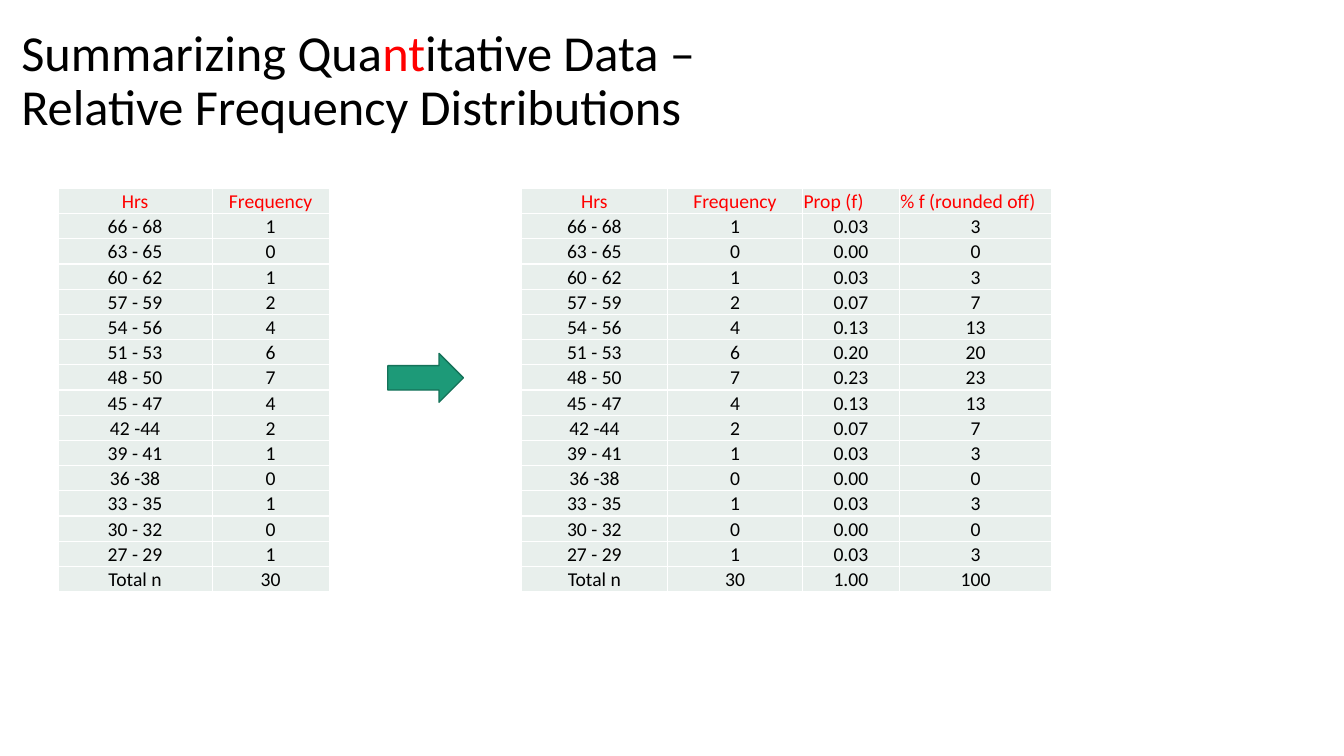
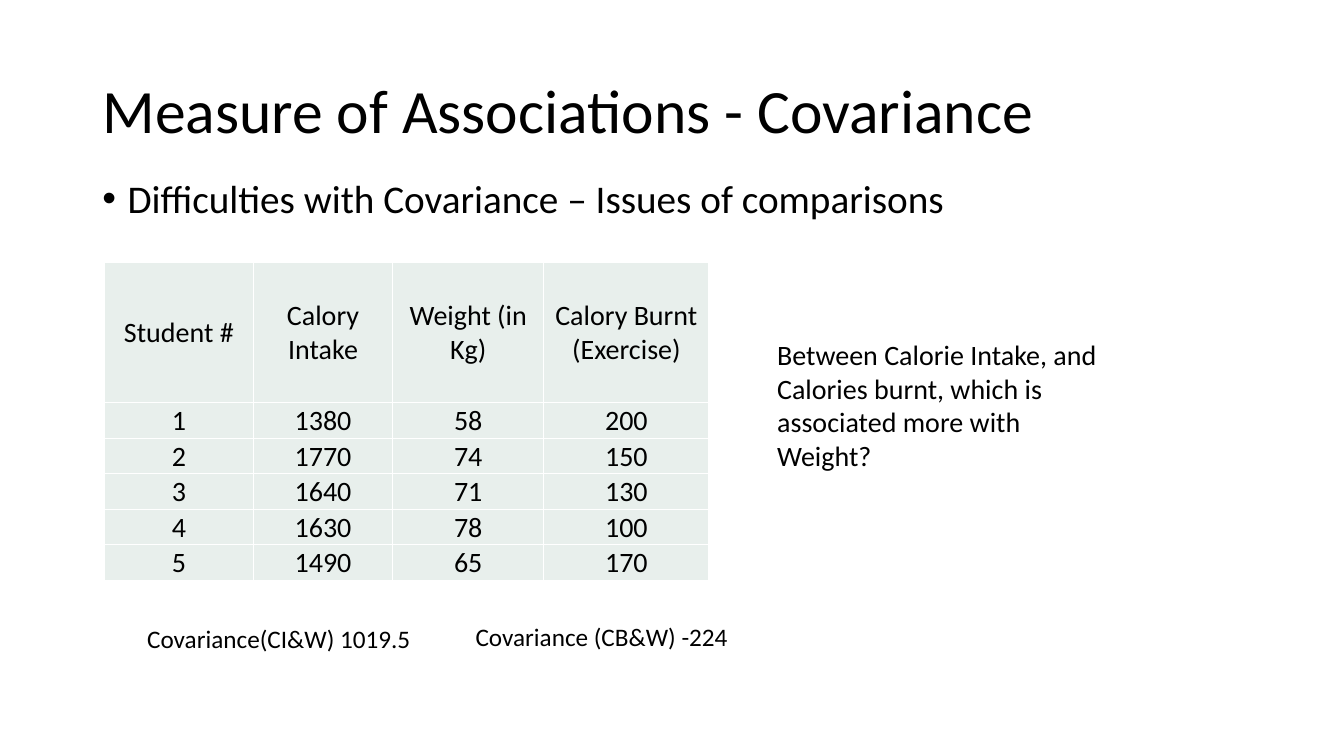
from dataclasses import dataclass

import pptx
import pptx.dml.color
import pptx.enum.shapes
import pptx.enum.text
import pptx.oxml
import pptx.oxml.ns
import pptx.util

Pt = pptx.util.Pt
RGB = pptx.dml.color.RGBColor.from_string
ALIGN = pptx.enum.text.PP_ALIGN
ANCHOR = pptx.enum.text.MSO_ANCHOR


@dataclass(frozen=True)
class Theme:
    font: str = "Calibri"
    ink: str = "000000"
    accent: str = "FF0000"
    cell: str = "E8EFEC"
    rule: str = "FFFFFF"
    arrow: str = "1D9A78"
    arrow_line: str = "157259"
    title: int = 44
    long_title: int = 36
    body: int = 28
    note: int = 20
    label: int = 18
    small: int = 14


THEME = Theme()

# Content: each title line is a list of (text, colour) runs
DISTRIBUTION_TITLE = [
    [("Summarizing Qua", THEME.ink), ("nt", THEME.accent), ("itative Data –", THEME.ink)],
    [("Relative Frequency Distributions", THEME.ink)],
]
COVARIANCE_TITLE = [[("Measure of Associations - Covariance", THEME.ink)]]

FREQUENCIES = [
    ("66 - 68", 1), ("63 - 65", 0), ("60 - 62", 1), ("57 - 59", 2), ("54 - 56", 4),
    ("51 - 53", 6), ("48 - 50", 7), ("45 - 47", 4), ("42 -44", 2), ("39 - 41", 1),
    ("36 -38", 0), ("33 - 35", 1), ("30 - 32", 0), ("27 - 29", 1),
]
FREQUENCY_HEADER = ["Hrs", "Frequency"]
RELATIVE_HEADER = FREQUENCY_HEADER + ["Prop (f)", "% f (rounded off)"]

DIFFICULTY = "Difficulties with Covariance – Issues of comparisons"
STUDENTS = [
    ("Student #", "Calory Intake", "Weight (in Kg)", "Calory Burnt (Exercise)"),
    (1, 1380, 58, 200),
    (2, 1770, 74, 150),
    (3, 1640, 71, 130),
    (4, 1630, 78, 100),
    (5, 1490, 65, 170),
]
# (text, size, left, top, width, height)
NOTES = [
    ("Between Calorie Intake, and Calories burnt, which is associated more with Weight?",
     THEME.note, 548, 237.6, 257.8, 80),
    ("Covariance(CI&W) 1019.5", THEME.label, 98, 441.4, 216.7, 29),
    ("Covariance (CB&W) -224", THEME.label, 332.6, 440.6, 211, 29),
]


def assign(obj, **values):
    for name, value in values.items():
        setattr(obj, name, value)


def place(sp, left, top, width, height):
    assign(sp, left=Pt(left), top=Pt(top), width=Pt(width), height=Pt(height))


def add_run(p, text, size, color=THEME.ink):
    r = p.add_run()
    r.text = str(text)
    assign(r.font, name=THEME.font, size=Pt(size))
    r.font.color.rgb = RGB(color)


def set_title(slide, lines, size, left, top):
    sp = slide.shapes.title
    place(sp, left, top, 828, 104.4)
    assign(sp.text_frame, word_wrap=True, vertical_anchor=ANCHOR.MIDDLE,
           auto_size=pptx.enum.text.MSO_AUTO_SIZE.NONE)
    p = sp.text_frame.paragraphs[0]
    assign(p, alignment=ALIGN.LEFT, line_spacing=0.9)
    for i, runs in enumerate(lines):
        if i:
            p.add_line_break()
        for text, color in runs:
            add_run(p, text, size, color)


def set_bullet(sp, text):
    place(sp, 66, 124.5, 828, 62.6)
    sp.text_frame.auto_size = pptx.enum.text.MSO_AUTO_SIZE.NONE
    p = sp.text_frame.paragraphs[0]
    pPr = p._p.get_or_add_pPr()
    pPr.set("marL", str(Pt(18)))
    pPr.set("indent", str(-Pt(18)))
    pPr.append(pptx.oxml.parse_xml(
        f'<a:buChar {pptx.oxml.ns.nsdecls("a")} char="•"/>'))
    assign(p, line_spacing=0.9, space_before=Pt(0))
    add_run(p, text, THEME.body)


def set_borders(cell):
    tcPr = cell._tc.get_or_add_tcPr()
    for side in "LRTB":
        tcPr.append(pptx.oxml.parse_xml(
            f'<a:ln{side} {pptx.oxml.ns.nsdecls("a")} w="{Pt(1)}"><a:solidFill>'
            f'<a:srgbClr val="{THEME.rule}"/></a:solidFill></a:ln{side}>'))


def add_table(slide, rows, left, top, widths, heights, size, anchor,
              header_color=THEME.ink, left_headers=()):
    """Add a plain tinted table; left_headers lists header columns not centred."""
    table = slide.shapes.add_table(
        len(rows), len(widths), Pt(left), Pt(top), Pt(sum(widths)), Pt(sum(heights))).table
    assign(table, first_row=False, horz_banding=False)
    for column, width in zip(table.columns, widths):
        column.width = Pt(width)
    for i, (values, height) in enumerate(zip(rows, heights)):
        table.rows[i].height = Pt(height)
        for j, value in enumerate(values):
            cell = table.cell(i, j)
            assign(cell, margin_left=Pt(0.72), margin_right=Pt(0.72), margin_top=Pt(0.72),
                   margin_bottom=0, vertical_anchor=anchor)
            set_borders(cell)
            cell.fill.solid()
            cell.fill.fore_color.rgb = RGB(THEME.cell)
            p = cell.text_frame.paragraphs[0]
            p.alignment = ALIGN.LEFT if i == 0 and j in left_headers else ALIGN.CENTER
            add_run(p, value, size, THEME.ink if i else header_color)


def add_note(slide, text, size, *box):
    sp = slide.shapes.add_textbox(*map(Pt, box))
    sp.text_frame.word_wrap = True
    add_run(sp.text_frame.paragraphs[0], text, size)


def build_distribution(prs):
    slide = prs.slides.add_slide(prs.slide_layouts[5])
    set_title(slide, DISTRIBUTION_TITLE, THEME.long_title, 8, 6.5)
    n = sum(f for _, f in FREQUENCIES)
    counts = FREQUENCIES + [("Total n", n)]
    relative = [(hrs, f, f"{f / n:.2f}", f"{100 * f / n:.0f}") for hrs, f in counts]
    tables = [
        ([FREQUENCY_HEADER] + counts, 41.4, [110.2, 83.5]),
        ([RELATIVE_HEADER] + relative, 372.4, [104.4, 96.5, 69.1, 109]),
    ]
    for rows, left, widths in tables:
        add_table(slide, rows, left, 134.6, widths, [18] * len(rows), THEME.small,
                  ANCHOR.BOTTOM, THEME.accent, left_headers=(2, 3))
    arrow = slide.shapes.add_shape(pptx.enum.shapes.MSO_SHAPE.RIGHT_ARROW,
                                   Pt(277), Pt(252.5), Pt(54), Pt(34.8))
    arrow.shadow.inherit = False
    arrow.fill.solid()
    arrow.fill.fore_color.rgb = RGB(THEME.arrow)
    arrow.line.color.rgb = RGB(THEME.arrow_line)
    arrow.line.width = Pt(1)


def build_covariance(prs):
    slide = prs.slides.add_slide(prs.slide_layouts[1])
    set_title(slide, COVARIANCE_TITLE, THEME.title, 66, 28.8)
    set_bullet(slide.placeholders[1], DIFFICULTY)
    heights = [100.2] + [25.4] * (len(STUDENTS) - 1)
    add_table(slide, STUDENTS, 74.5, 187.4, [106.6, 99.4, 108, 118], heights,
              THEME.note, ANCHOR.MIDDLE)
    for note in NOTES:
        add_note(slide, *note)


def main():
    prs = pptx.Presentation()
    assign(prs, slide_width=Pt(960), slide_height=Pt(540))
    build_distribution(prs)
    build_covariance(prs)
    prs.save("out.pptx")


if __name__ == "__main__":
    main()
